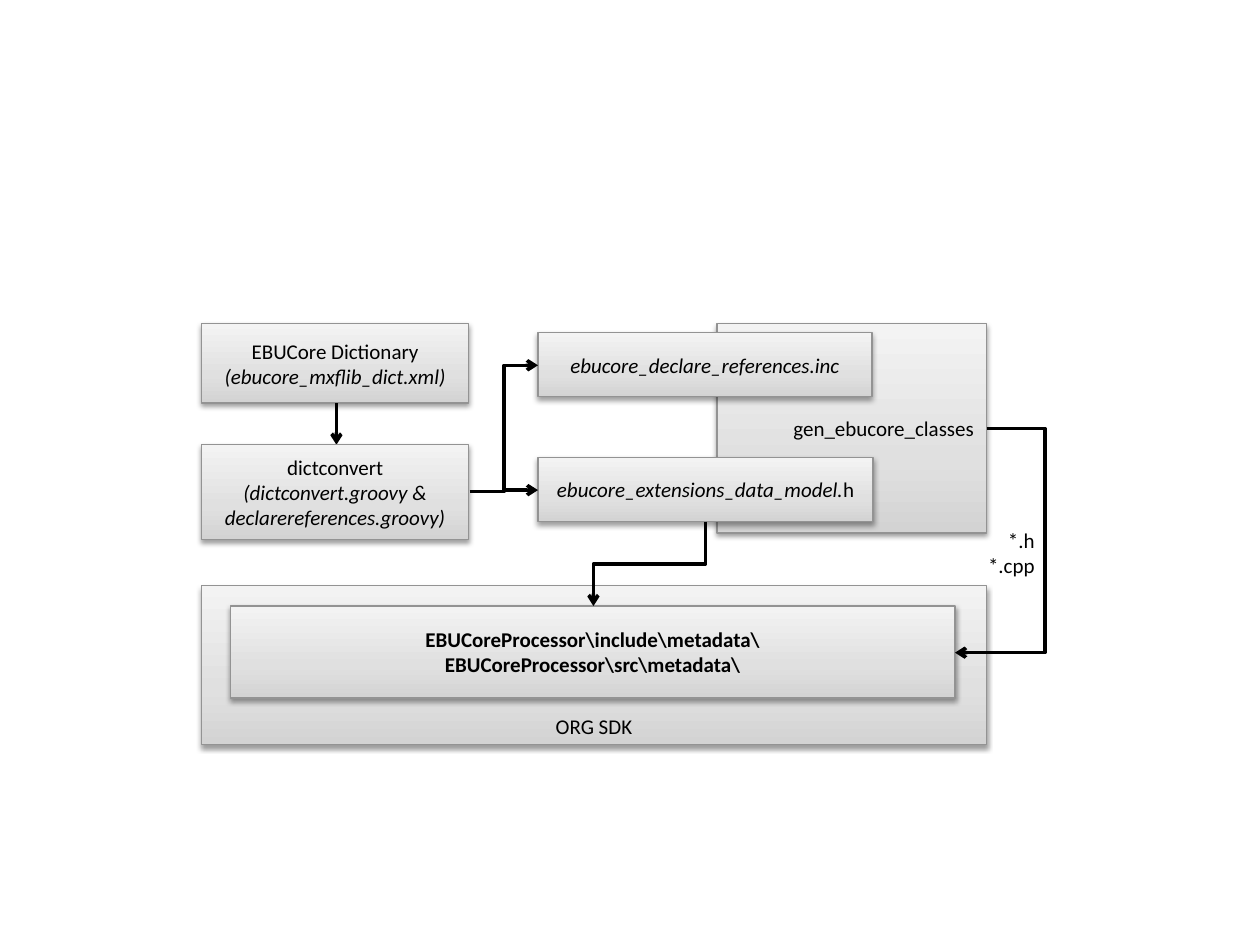
import copy
from dataclasses import dataclass

import pptx
import pptx.util
import pptx.dml.color
import pptx.enum.shapes
import pptx.enum.text
import pptx.oxml
import pptx.oxml.ns

Inches, Pt = pptx.util.Inches, pptx.util.Pt
RGB = pptx.dml.color.RGBColor.from_string
ALIGN, ANCHOR = pptx.enum.text.PP_ALIGN, pptx.enum.text.MSO_ANCHOR
qn = pptx.oxml.ns.qn


@dataclass
class Theme:
    """Colours, font and sizes of the diagram."""
    font: str = "Calibri"
    size: float = 12
    ink: str = "000000"
    border: str = "939393"
    border_width: float = 0.75
    arrow_width: float = 2
    gradient: tuple = ((0, "D3D3D3"), (0.35, "E0E0E0"), (1, "F3F3F3"))


def add_xml(parent, body):
    """Append one DrawingML element given as text."""
    tag, _, rest = body.partition(" ")
    xml = f"<a:{tag} {pptx.oxml.ns.nsdecls('a')} {rest}"
    parent.append(pptx.oxml.parse_xml(xml))


def add_text(p, text, theme, bold=False, italic=False):
    """Add a formatted run to a paragraph."""
    r = p.add_run()
    r.text = text
    r.font.name, r.font.size = theme.font, Pt(theme.size)
    r.font.bold, r.font.italic = bold, italic
    r.font.color.rgb = RGB(theme.ink)


class Diagram:
    """Draws the elements of a flow diagram on one slide."""

    def __init__(self, slide, theme):
        """Keep the slide and its style."""
        self.slide, self.theme = slide, theme

    def fill_text(self, tf, lines, align, anchor):
        """Fill a text frame; each line is a list of (text, format) runs."""
        tf.word_wrap, tf.vertical_anchor = True, anchor
        for i, runs in enumerate(lines):
            p = tf.add_paragraph() if i else tf.paragraphs[0]
            p.alignment = align
            for text, style in runs:
                add_text(p, text, self.theme, **style)

    def box(self, x, y, w, h, lines, align=ALIGN.CENTER, anchor=ANCHOR.MIDDLE):
        """Draw a shaded rectangle with a soft shadow and text."""
        sp = self.slide.shapes.add_shape(
            pptx.enum.shapes.MSO_SHAPE.RECTANGLE,
            Inches(x), Inches(y), Inches(w), Inches(h))
        sp.fill.gradient()
        sp.fill.gradient_angle = 90
        stops = sp._element.spPr.find(".//" + qn("a:gsLst"))
        stops.append(copy.deepcopy(stops[0]))
        for stop, (position, color) in zip(sp.fill.gradient_stops, self.theme.gradient):
            stop.position, stop.color.rgb = position, RGB(color)
        sp.line.color.rgb = RGB(self.theme.border)
        sp.line.width = Pt(self.theme.border_width)
        sp.shadow.inherit = False
        add_xml(sp._element.spPr.find(qn("a:effectLst")),
                f'outerShdw blurRad="{Pt(3.1)}" dist="{Pt(1.6)}" dir="5400000" rotWithShape="0">'
                f'<a:srgbClr val="{self.theme.ink}"><a:alpha val="38000"/></a:srgbClr>'
                '</a:outerShdw>')
        self.fill_text(sp.text_frame, lines, align, anchor)

    def label(self, x, y, w, h, lines):
        """Draw right-aligned text without a frame."""
        sp = self.slide.shapes.add_textbox(Inches(x), Inches(y), Inches(w), Inches(h))
        self.fill_text(sp.text_frame, lines, ALIGN.RIGHT, ANCHOR.TOP)

    def arrow(self, start, end, down=False, bend=0.5):
        """Draw an elbow arrow that leaves sideways, or downwards if asked."""
        (x1, y1), (x2, y2) = start, end
        if down:
            # A quarter turn about the centre maps this box onto start and end.
            cx, cy, w, h = (x1 + x2) / 2, (y1 + y2) / 2, y2 - y1, x1 - x2
            x1, y1, x2, y2 = cx - w / 2, cy - h / 2, cx + w / 2, cy + h / 2
        cxn = self.slide.shapes.add_connector(
            pptx.enum.shapes.MSO_CONNECTOR.ELBOW,
            Inches(x1), Inches(y1), Inches(x2), Inches(y2))
        cxn.line.color.rgb = RGB(self.theme.ink)
        cxn.line.width = Pt(self.theme.arrow_width)
        spPr = cxn._element.spPr
        if down:
            spPr.find(qn("a:xfrm")).set("rot", "5400000")
        add_xml(spPr.find(".//" + qn("a:avLst")),
                f'gd name="adj1" fmla="val {round(bend * 100000)}"/>')
        add_xml(spPr.find(qn("a:ln")), 'tailEnd type="arrow"/>')
        add_xml(spPr, "effectLst />")


def main():
    """Build the slide and save it."""
    prs = pptx.Presentation()
    prs.slide_width, prs.slide_height = Inches(10), Inches(7.5)
    d = Diagram(prs.slides.add_slide(prs.slide_layouts[6]), Theme())
    plain, bold, italic = {}, {"bold": True}, {"italic": True}
    left, column_w, files_x, file_h = 1.6, 2.12, 4.27, 0.51

    d.box(left, 2.57, column_w, 0.63, [[("EBUCore Dictionary", plain)],
                                       [("(ebucore_mxflib_dict.xml)", italic)]])
    d.arrow((2.67, 3.2), (2.67, 3.53), down=True)
    d.box(5.69, 2.57, 2.14, 1.66, [[("gen_ebucore_classes", plain)]], align=ALIGN.RIGHT)
    d.box(left, 3.53, column_w, 0.75, [
        [("dictconvert", plain)],
        [("(dictconvert.groovy & declarereferences.groovy)", italic)]])
    d.box(files_x, 3.63, 2.66, file_h,
          [[("ebucore_extensions_data_model.", italic), ("h", plain)]])
    d.box(files_x, 2.64, 2.65, file_h, [[("ebucore_declare_references.inc", italic)]])
    for y in (3.89, 2.9):
        d.arrow((3.73, 3.9), (files_x, y))

    d.box(left, 4.65, 6.23, 1.26, [[("ORG SDK", plain)]], anchor=ANCHOR.BOTTOM)
    d.box(1.83, 4.81, 5.75, 0.73, [[("EBUCoreProcessor\\include\\metadata\\", bold)],
                                   [("EBUCoreProcessor\\src\\metadata\\", bold)]])
    d.arrow((5.6, 4.14), (4.71, 4.81), down=True)
    d.arrow((7.83, 3.4), (7.58, 5.18), bend=-1.85)
    d.label(7.52, 4.14, 0.79, 0.5, [[("*.h", plain)], [("*.cpp", plain)]])
    prs.save("out.pptx")


main()
